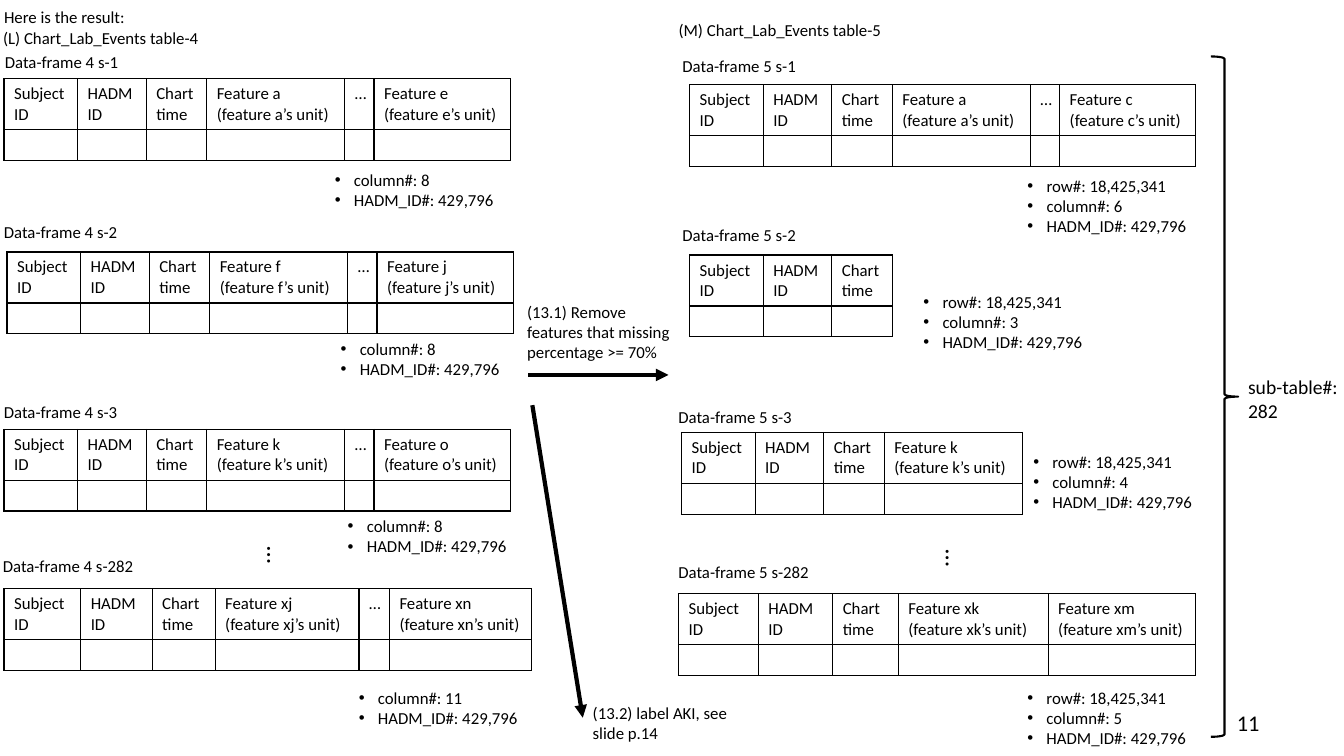
"""Build the slide that shows how sparse features are removed from the lab event tables."""
from dataclasses import dataclass
from typing import Optional

from lxml import etree
from pptx import Presentation
from pptx.dml.color import RGBColor
from pptx.enum.shapes import MSO_CONNECTOR, MSO_SHAPE
from pptx.enum.text import MSO_ANCHOR, MSO_AUTO_SIZE, PP_ALIGN
from pptx.oxml.ns import qn
from pptx.util import Inches, Pt

BLACK = RGBColor(0x00, 0x00, 0x00)
FONT = "Calibri"
STRAIGHT = MSO_CONNECTOR.STRAIGHT
RIGHT_BRACE = MSO_SHAPE.RIGHT_BRACE
TOP, MIDDLE = MSO_ANCHOR.TOP, MSO_ANCHOR.MIDDLE
LEFT, RIGHT = PP_ALIGN.LEFT, PP_ALIGN.RIGHT
FIXED_SIZE = MSO_AUTO_SIZE.NONE

SLIDE_WIDTH, SLIDE_HEIGHT = Inches(13.33), Inches(7.5)
GRID = Inches(0.1)
COMPARISON_LAYOUT = 4
KEY_COLUMNS = (("Subject ID", 7.3), ("HADM ID", 6.8), ("Chart time", 6.0))
FIRST_FEATURE, LATER_FEATURE, SKIPPED_FEATURES = 13.7, 13.5, 2.9
HEADER_ROW, EMPTY_ROW = 5, 3
LABEL_WIDTH, LABEL_HEIGHT = 20.9, 3
TEXT_SIZE = 12
BULLET_INDENT = Inches(0.19)
PATIENT_COUNT = "HADM_ID#: 429,796"
ROW_COUNT = "row#: 18,425,341"


@dataclass(frozen=True)
class Note:
    """A piece of text, placed in grid columns and rows."""
    text: str
    column: float
    row: float
    width: float
    height: float
    size: int = TEXT_SIZE
    bulleted: bool = False
    rotation: int = 0
    anchor: MSO_ANCHOR = TOP
    alignment: PP_ALIGN = LEFT
    placeholder: Optional[int] = None


@dataclass(frozen=True)
class DataFrame:
    """A labelled data-frame table with its list of counts."""
    name: str
    label: tuple[float, float]
    table: tuple[float, float]
    width: float
    features: tuple[str, ...]
    counts: tuple[str, ...]
    counts_box: tuple[float, float, float]
    placeholder: Optional[int] = None


@dataclass(frozen=True)
class Arrow:
    """An arrow between two grid points."""
    start: tuple[float, float]
    end: tuple[float, float]


FRAMES = (
    DataFrame("4 s-1", (-0.5, 4.6), (0.4, 7.8), 50.2, ("a", "…", "e"),
              ("column#: 8", PATIENT_COUNT), (32.2, 16.3, 20.1), 2),
    DataFrame("4 s-2", (-0.6, 21.5), (0.7, 25), 50.2, ("f", "…", "j"),
              ("column#: 8", PATIENT_COUNT), (32.8, 33.1, 19.9)),
    DataFrame("4 s-3", (-0.6, 39.4), (0.4, 42.6), 50.2, ("k", "…", "o"),
              ("column#: 8", PATIENT_COUNT), (33.5, 50.7, 19.2)),
    DataFrame("4 s-282", (-0.7, 54.6), (0.4, 58.4), 52.3, ("xj", "…", "xn"),
              ("column#: 11", PATIENT_COUNT), (34.6, 67.7, 23.2)),
    DataFrame("5 s-1", (66.7, 5), (68.4, 8.4), 50.2, ("a", "…", "c"),
              (ROW_COUNT, "column#: 6", PATIENT_COUNT), (100.9, 16.9, 20.1), 4),
    DataFrame("5 s-2", (66.7, 21.8), (68.4, 25.3), 20.1, (),
              (ROW_COUNT, "column#: 3", PATIENT_COUNT), (90.6, 28.4, 21.2)),
    DataFrame("5 s-3", (66.3, 39.9), (67.6, 42.9), 33.8, ("k",),
              (ROW_COUNT, "column#: 4", PATIENT_COUNT), (101.5, 44.3, 18.7)),
    DataFrame("5 s-282", (66.3, 55.2), (67.3, 58.9), 51.3, ("xk", "xm"),
              (ROW_COUNT, "column#: 5", PATIENT_COUNT), (100.9, 67.7, 19.2)),
)
NOTES = (
    Note("Here is the result:", -0.6, 0.2, 16.8, 3, placeholder=0),
    Note("(L) Chart_Lab_Events table-4", -0.7, 2.2, 22.5, 3, placeholder=1),
    Note("(M) Chart_Lab_Events table-5", 66.3, 1.5, 22.5, 3, placeholder=3),
    Note("…", 25.8, 52.9, 3.4, 4, size=18, rotation=90),
    Note("…", 93.1, 53.2, 3.4, 4, size=18, rotation=90),
    Note("(13.1) Remove features that missing percentage >= 70%", 51.3, 29.4, 16.5, 7.1),
    Note("(13.2) label AKI, see slide p.14", 57.8, 69.2, 16.5, 5),
    Note("sub-table#: 282", 122.8, 36.7, 13.9, 5.7, size=14),
    Note("11", 95.9, 69.7, 30, 4, size=16, anchor=MIDDLE, alignment=RIGHT),
)
ARROWS = (Arrow((52.4, 37.2), (66.3, 37.2)), Arrow((52.8, 40.2), (57.8, 71.2)))
BRACE = (120.1, 5.6, 2.7, 67.5)


def to_grid(*cells: float) -> list[int]:
    """Turn grid counts into lengths."""
    return [round(cell * GRID) for cell in cells]


def format_runs(text_frame, size: int) -> None:
    """Give every run the slide's font."""
    for paragraph in text_frame.paragraphs:
        for run in paragraph.runs:
            run.font.name, run.font.size, run.font.bold = FONT, Pt(size), False
            run.font.color.rgb = BLACK


def add_bullet(paragraph) -> None:
    """Put a hanging bullet before the paragraph."""
    properties = paragraph._p.get_or_add_pPr()
    properties.set("marL", str(BULLET_INDENT))
    properties.set("indent", str(-BULLET_INDENT))
    etree.SubElement(properties, qn("a:buFont")).set("typeface", "Arial")
    etree.SubElement(properties, qn("a:buChar")).set("char", "•")


def draw_note(slide, note: Note) -> None:
    """Write a note into its placeholder or a new text box."""
    box = to_grid(note.column, note.row, note.width, note.height)
    if note.placeholder is None:
        shape = slide.shapes.add_textbox(*box)
    else:
        shape = slide.placeholders[note.placeholder]
        shape.left, shape.top, shape.width, shape.height = box
    shape.rotation = note.rotation
    text_frame = shape.text_frame
    text_frame.text = note.text
    text_frame.word_wrap = True
    text_frame.auto_size = FIXED_SIZE
    text_frame.vertical_anchor = note.anchor
    for paragraph in text_frame.paragraphs:
        paragraph.alignment = note.alignment
        paragraph.space_before = Pt(0)
        if note.bulleted:
            add_bullet(paragraph)
    format_runs(text_frame, note.size)


def frame_columns(features: tuple[str, ...]) -> list[tuple[str, float]]:
    """List the heading and relative width of each table column."""
    columns = list(KEY_COLUMNS)
    for position, feature in enumerate(features):
        if feature == "…":
            columns.append((feature, SKIPPED_FEATURES))
        else:
            width = LATER_FEATURE if position else FIRST_FEATURE
            columns.append((f"Feature {feature}\n(feature {feature}’s unit)", width))
    return columns


def format_cell(cell) -> None:
    """Give a cell black borders, no fill and the slide's font."""
    properties = cell._tc.get_or_add_tcPr()
    for side in ("lnL", "lnR", "lnT", "lnB"):
        border = etree.SubElement(properties, qn(f"a:{side}"), w=str(Pt(1)))
        fill = etree.SubElement(border, qn("a:solidFill"))
        etree.SubElement(fill, qn("a:srgbClr"), val=str(BLACK))
    cell.fill.background()
    format_runs(cell.text_frame, TEXT_SIZE)


def draw_frame(slide, frame: DataFrame) -> None:
    """Draw a data-frame's label, table and counts."""
    draw_note(slide, Note(f"Data-frame {frame.name}", *frame.label, LABEL_WIDTH, LABEL_HEIGHT))
    columns = frame_columns(frame.features)
    box = to_grid(*frame.table, frame.width, HEADER_ROW + EMPTY_ROW)
    table = slide.shapes.add_table(2, len(columns), *box).table
    table.first_row = table.horz_banding = False
    table.rows[0].height, table.rows[1].height = to_grid(HEADER_ROW, EMPTY_ROW)
    scale = frame.width / sum(width for _, width in columns)
    for index, (heading, width) in enumerate(columns):
        table.columns[index].width = round(width * scale * GRID)
        table.cell(0, index).text_frame.text = heading
        empty_paragraph = table.cell(1, index).text_frame.paragraphs[0]._p
        etree.SubElement(empty_paragraph, qn("a:endParaRPr"), sz=str(TEXT_SIZE * 100))
    for cell in table.iter_cells():
        format_cell(cell)
    height = 3.1 + 2 * (len(frame.counts) - 1) + 2
    draw_note(slide, Note("\n".join(frame.counts), *frame.counts_box, height,
                          bulleted=True, placeholder=frame.placeholder))


def draw_arrow(slide, arrow: Arrow) -> None:
    """Draw a thick black arrow."""
    connector = slide.shapes.add_connector(STRAIGHT, *to_grid(*arrow.start, *arrow.end))
    connector.line.color.rgb, connector.line.width = BLACK, Pt(3)
    etree.SubElement(connector.line._get_or_add_ln(), qn("a:tailEnd"), type="triangle")
    etree.SubElement(connector._element.spPr, qn("a:effectLst"))


def draw_brace(slide) -> None:
    """Draw the brace that gathers the right-hand tables."""
    brace = slide.shapes.add_shape(RIGHT_BRACE, *to_grid(*BRACE))
    brace.shadow.inherit = False
    brace.fill.background()
    brace.line.color.rgb, brace.line.width = BLACK, Pt(1.5)


def main() -> None:
    """Build and save the presentation."""
    presentation = Presentation()
    presentation.slide_width, presentation.slide_height = SLIDE_WIDTH, SLIDE_HEIGHT
    slide = presentation.slides.add_slide(presentation.slide_layouts[COMPARISON_LAYOUT])
    for frame in FRAMES:
        draw_frame(slide, frame)
    for note in NOTES:
        draw_note(slide, note)
    for arrow in ARROWS:
        draw_arrow(slide, arrow)
    draw_brace(slide)
    presentation.save("out.pptx")


if __name__ == "__main__":
    main()
